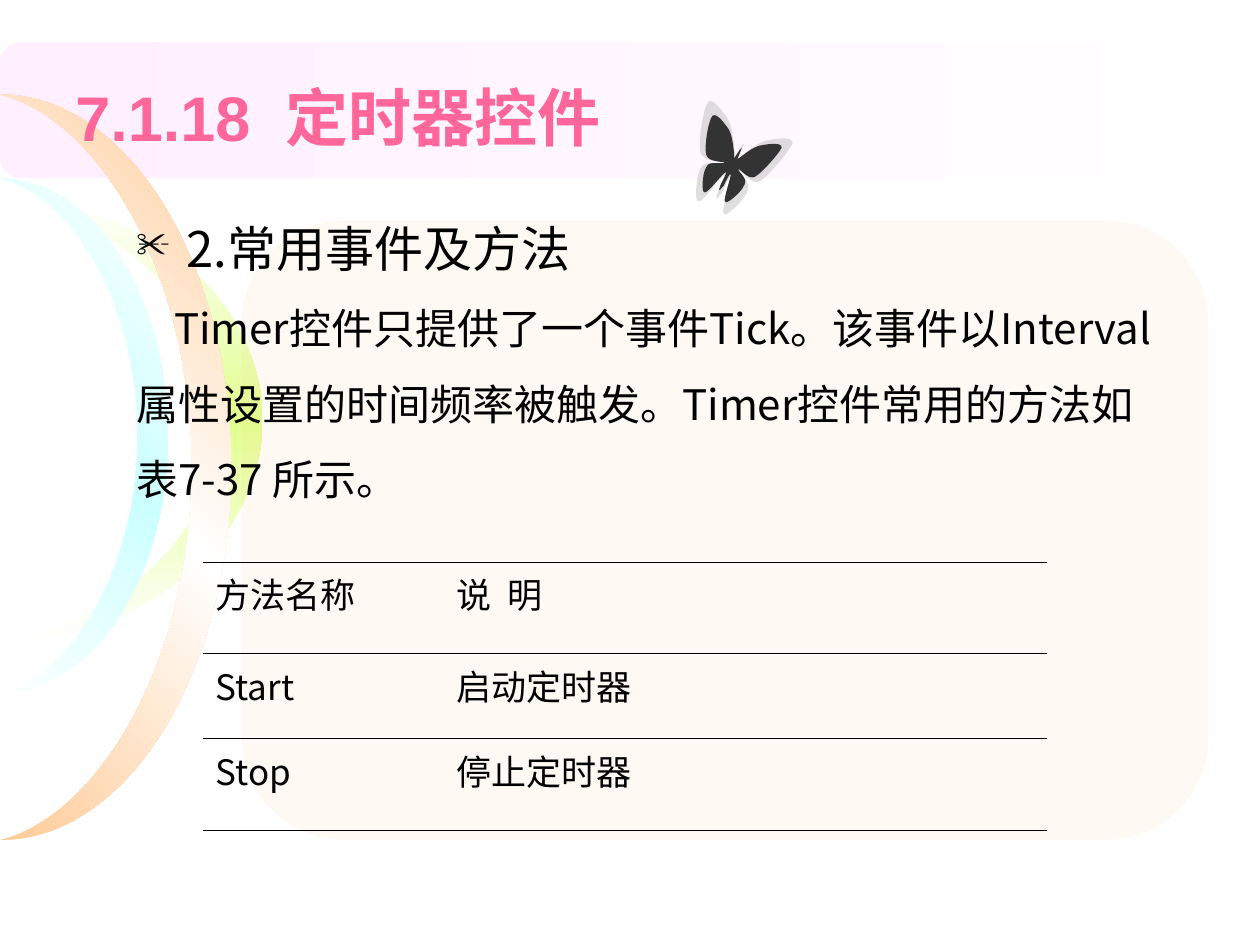
from typing import NamedTuple

from lxml.etree import SubElement
from pptx import Presentation
from pptx.dml.color import RGBColor
from pptx.enum.shapes import MSO_SHAPE as Shape
from pptx.enum.text import MSO_ANCHOR as Anchor
from pptx.oxml import parse_xml
from pptx.oxml.ns import nsdecls, qn
from pptx.util import Emu, Inches, Pt

SANS, SERIF = "Noto Sans CJK SC", "Times New Roman"
COLS, ROWS = 120, 90

prs = Presentation()
prs.slide_width, prs.slide_height = Inches(10), Inches(7.5)
CELL = prs.slide_width / COLS
s = prs.slides.add_slide(prs.slide_layouts[6])


class Box(NamedTuple):
    """Left, top, width and height in grid columns and rows."""
    x: float
    y: float
    w: float
    h: float


class Crescent(NamedTuple):
    box: Box
    inner: float
    colors: tuple[str, ...]
    angle: int


class Entry(NamedTuple):
    text: str
    font: str


def units(n: float) -> Emu:
    return Emu(round(n * CELL))


def place(box: Box) -> list[Emu]:
    return [units(n) for n in box]


def rgb(color: str) -> RGBColor:
    return RGBColor.from_string(color)


def solid(sp, color: str, opacity: int = 100) -> None:
    sp.shadow.inherit = False
    sp.line.fill.background()
    sp.fill.solid()
    sp.fill.fore_color.rgb = rgb(color)
    if opacity < 100:
        clr = sp._element.spPr.find(qn("a:solidFill"))[0]
        SubElement(clr, qn("a:alpha")).set("val", str(opacity * 1000))


def gradient(sp, colors: tuple[str, ...], angle: int) -> None:
    """Fill with evenly spaced stops, the angle running clockwise."""
    solid(sp, colors[0])
    step = 100000 // (len(colors) - 1)
    stops = "".join(f'<a:gs pos="{i * step}"><a:srgbClr val="{c}"/></a:gs>'
                    for i, c in enumerate(colors))
    plain = sp._element.spPr.find(qn("a:solidFill"))
    plain.getparent().replace(plain, parse_xml(
        f'<a:gradFill {nsdecls("a")} rotWithShape="1"><a:gsLst>{stops}</a:gsLst>'
        f'<a:lin ang="{angle * 60000}" scaled="1"/></a:gradFill>'))


def write(p, text: str, color: str = "000000", **fmt) -> None:
    r = p.add_run()
    r.text = text
    for name, value in fmt.items():
        setattr(r.font, name, value)
    r.font.color.rgb = rgb(color)
    SubElement(r._r.get_or_add_rPr(), qn("a:ea")).set("typeface", SANS)


def text_frame(box: Box, anchor: Anchor):
    tf = s.shapes.add_textbox(*place(box)).text_frame
    tf.word_wrap = True
    tf.vertical_anchor = anchor
    return tf


def indent(p, margin: float, first: float) -> None:
    pPr = p._p.get_or_add_pPr()
    pPr.set("marL", str(Inches(margin)))
    pPr.set("indent", str(Inches(first)))


def rule_cell(cell) -> None:
    """Hairlines above and below, nothing at the sides."""
    cell.fill.background()
    line = '<a:solidFill><a:srgbClr val="000000"/></a:solidFill>'
    sides = {"lnL": "<a:noFill/>", "lnR": "<a:noFill/>", "lnT": line, "lnB": line}
    tcPr = cell._tc.get_or_add_tcPr()
    for i, (tag, fill) in enumerate(sides.items()):
        tcPr.insert(i, parse_xml(
            f'<a:{tag} {nsdecls("a")} w="{Pt(0.23)}">{fill}</a:{tag}>'))


def curved_shape(points: list[tuple], scale: float):
    """Outline of cubic curves: a start, then triples of control points."""
    builder = s.shapes.build_freeform(*points[0], scale=scale)
    builder.add_line_segments(points[1:], close=True)
    sp = builder.convert_to_shape()
    lines = list(sp._element.iter(qn("a:lnTo")))
    for i in range(0, len(lines), 3):
        curve = parse_xml(f'<a:cubicBezTo {nsdecls("a")}/>')
        lines[i].addprevious(curve)
        for line in lines[i:i + 3]:
            curve.append(line[0])
            line.getparent().remove(line)
    return sp


def draw_crescent(crescent: Crescent) -> None:
    x, y, w, h = crescent.box
    inner = crescent.inner
    shares = [(0, 1), (inner / 2, 0.97), (inner, 0.765), (inner, 0.5),
              (inner, 0.235), (inner / 2, 0.03), (0, 0),
              (0.55, 0), (1, 0.225), (1, 0.5), (1, 0.775), (0.55, 1), (0, 1)]
    points = [(100 * (x + w * a), 100 * (y + h * b)) for a, b in shares]
    gradient(curved_shape(points, CELL / 100), crescent.colors, crescent.angle)


def draw_wing(points: list[tuple], color: str, opacity: int) -> None:
    """Points are hundredths of an inch on the slide."""
    fine = [(x * 10, y * 10) for x, y in points]
    solid(curved_shape(fine, Inches(1) / 1000), color, opacity)


def shrink(points: list[tuple]) -> list[tuple]:
    """Scale a shadow wing down to the dark wing inside it."""
    return [(558 + 0.82 * (x - 553), 92 + 0.77 * (y - 81)) for x, y in points]


# Title band
band = s.shapes.add_shape(Shape.FLOWCHART_ALTERNATE_PROCESS, *place(Box(0, 4, COLS, 13)))
gradient(band, ("FFFFFF", "FFEFFF"), 180)

# Crescents on the left edge
CRESCENTS = [
    Crescent(Box(0, 19, 25, 42), 0.84, ("FFFFFF", "E2FF8F", "FFFFFF"), 270),
    Crescent(Box(0, 9, 22, 71), 0.83, ("FFCC99", "FFFFFF", "FFCC99"), 315),
    Crescent(Box(0, 17, 16, 49), 0.82, ("FFFFFF", "CCFFFF", "FFFFFF"), 315),
]
for crescent in CRESCENTS:
    draw_crescent(crescent)

# Content panel
panel = s.shapes.add_shape(Shape.FLOWCHART_ALTERNATE_PROCESS, *place(Box(23, 21, 92.1, 59)))
solid(panel, "FFCC99", 10)

# Table of methods
METHODS = [
    (Entry("方法名称", SERIF), Entry("说  明", SANS)),
    (Entry("Start", SANS), Entry("启动定时器", SERIF)),
    (Entry("Stop", SANS), Entry("停止定时器", SERIF)),
]
WIDTHS, HEIGHTS = (22.95, 57.4), (8.75, 8.05, 8.75)
table_box = Box(19.33, 53.5, sum(WIDTHS), sum(HEIGHTS))
table = s.shapes.add_table(len(METHODS), len(WIDTHS), *place(table_box)).table
table.first_row = table.horz_banding = False
for column, width in zip(table.columns, WIDTHS):
    column.width = units(width)
for row, height, entries in zip(table.rows, HEIGHTS, METHODS):
    row.height = units(height)
    for cell, entry in zip(row.cells, entries):
        rule_cell(cell)
        p = cell.text_frame.paragraphs[0]
        p.space_before = Pt(5)
        write(p, entry.text, size=Pt(20), name=entry.font)

# Title
tf = text_frame(Box(6, 3.6, 108, 15), Anchor.MIDDLE)
write(tf.paragraphs[0], "7.1.18  定时器控件", "FF6699", size=Pt(36), name="Arial", bold=True)

# Heading with scissors bullet, then the explanation
tf = text_frame(Box(11.8, 18.55, 99.2, 30.1), Anchor.TOP)
p = tf.paragraphs[0]
p.line_spacing = 1.3
indent(p, 0.4, -0.4)
pPr = p._p.get_or_add_pPr()
SubElement(SubElement(pPr, qn("a:buClr")), qn("a:srgbClr")).set("val", "000000")
SubElement(pPr, qn("a:buSzPct")).set("val", "71000")
SubElement(pPr, qn("a:buFont")).set("typeface", "OpenSymbol")
SubElement(pPr, qn("a:buChar")).set("char", "✂")
write(p, "2.常用事件及方法", size=Pt(28), name=SANS)

p = tf.add_paragraph()
p.line_spacing = 1.5
indent(p, 0, 0.3)
write(p, "Timer控件只提供了一个事件Tick。该事件以Interval属性设置的时间频率被触发。"
         "Timer控件常用的方法如表7-37 所示。", size=Pt(24), name=SANS)

# Butterfly: pale shadow wings, then the dark ones
LEFT_WING = [
    (583, 119), (582, 110), (581, 101), (578, 95), (574, 89), (566, 77), (562, 81),
    (558, 86), (554, 113), (556, 121), (558, 129), (573, 128), (574, 129),
    (574, 131), (562, 128), (558, 131), (555, 134), (553, 142), (553, 146),
    (552, 151), (552, 161), (555, 160), (559, 159), (572, 140), (575, 139),
    (577, 138), (571, 149), (570, 152), (569, 155), (567, 161), (570, 155),
    (574, 149), (587, 121), (589, 116), (592, 111), (587, 118), (583, 125)]
RIGHT_WING = [
    (591, 122), (597, 117), (604, 112), (611, 111), (617, 110), (630, 108), (629, 114),
    (627, 119), (610, 140), (603, 144), (596, 147), (589, 135), (587, 136),
    (586, 137), (594, 144), (594, 148), (594, 153), (589, 159), (586, 162),
    (582, 166), (575, 173), (574, 169), (573, 166), (580, 144), (580, 141),
    (579, 139), (574, 151), (573, 153), (571, 155), (567, 161), (570, 155),
    (573, 149), (586, 120), (589, 116), (592, 111), (589, 118), (586, 126)]
WINGS = (LEFT_WING, RIGHT_WING)
for wing in WINGS:
    draw_wing(wing, "C0C0C0", 52)
for wing in WINGS:
    draw_wing(shrink(wing), "333333", 100)

prs.save("out.pptx")
